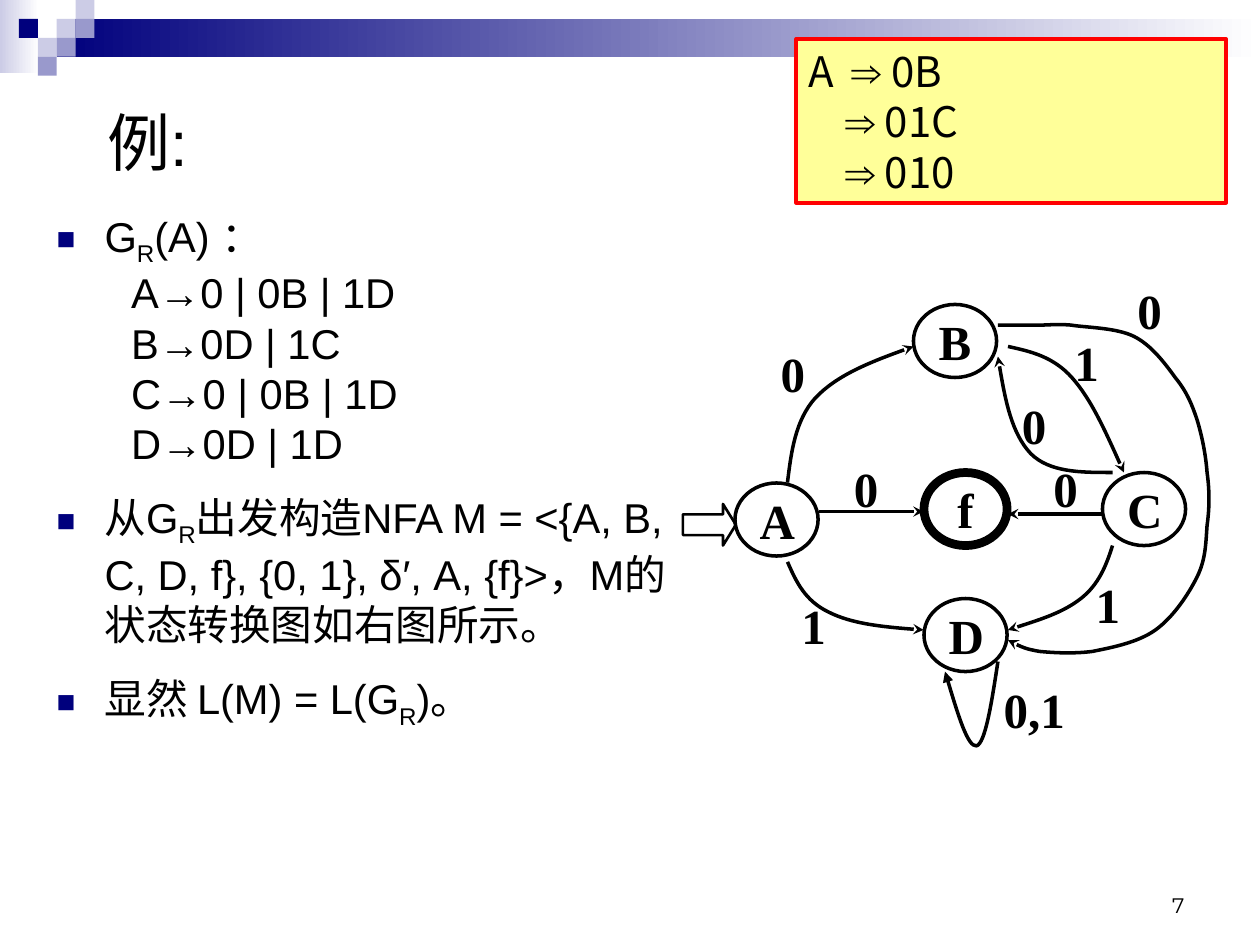
from lxml import etree
from pptx import Presentation
from pptx.dml.color import RGBColor
from pptx.enum.shapes import MSO_CONNECTOR, MSO_SHAPE
from pptx.enum.text import MSO_ANCHOR, MSO_AUTO_SIZE, PP_ALIGN
from pptx.oxml.ns import qn
from pptx.util import Inches, Pt

RECT, OVAL, ARROW = MSO_SHAPE.RECTANGLE, MSO_SHAPE.OVAL, MSO_SHAPE.RIGHT_ARROW
LEFT, CENTER, RIGHT = PP_ALIGN.LEFT, PP_ALIGN.CENTER, PP_ALIGN.RIGHT
TOP, MIDDLE, BOTTOM = MSO_ANCHOR.TOP, MSO_ANCHOR.MIDDLE, MSO_ANCHOR.BOTTOM
BLACK, NAVY, LILAC, VIOLET, WHITE = "000000", "00007D", "CCCCE6", "9999CC", "FFFFFF"
SANS, SERIF, CJK = "Arial", "Times New Roman", "Noto Sans CJK SC"

# Content
TITLE = "例:"
# (level, space before, runs); a run starting with "_" is a subscript
BODY = [
    (0, 0, ["G", "_R", "(A) ："]),
    (1, 0, ["A→0 | 0B | 1D"]),
    (1, 0, ["B→0D | 1C"]),
    (1, 0, ["C→0 | 0B | 1D"]),
    (1, 0, ["D→0D | 1D"]),
    (0, 14, ["从G", "_R", "出发构造NFA M = <{A, B, C, D, f}, {0, 1}, δ′, A, {f}>，"
             "M的状态转换图如右图所示。"]),
    (0, 14, ["显然 L(M) = L(G", "_R", ")。"]),
]
# (text before the arrow, text after it, left indent)
DERIVATION = [("A\t", " 0B", 0.34), ("", " 01C", 0.29), ("", " 010", 0.29)]

# Automaton on a grid of twelfths of an inch: column, row
GRID = 1 / 12
STATES = {"A": (70, 46, 2), "B": (87, 29, 2), "C": (105, 45, 2),
          "D": (88, 57, 2), "f": (88, 45, 5)}  # last: outline width
LABELS = [("1", 98, 31), ("0", 70, 32), ("0,1", 93, 64), ("1", 72, 56), ("1", 100, 54),
          ("0", 93, 37), ("0", 104, 26), ("0", 77, 43), ("0", 96, 43)]
STRAIGHT = [((6.5, 4.06), (7.33, 4.06)), ((8.75, 4.08), (8, 4.08))]
# Bezier curves in inches: start, then two control points and an end per segment
CURVES = {
    "D-D": [(7.92, 5.25), (7.87, 5.58), (7.82, 5.9), (7.75, 5.92),
            (7.68, 5.93), (7.59, 5.63), (7.5, 5.33)],
    "A-B": [(6.25, 3.83), (6.28, 3.59), (6.31, 3.34), (6.47, 3.16),
            (6.64, 2.98), (6.94, 2.86), (7.25, 2.75)],
    "A-D": [(6.25, 4.46), (6.32, 4.62), (6.39, 4.77), (6.58, 4.86),
            (6.76, 4.95), (7.04, 4.98), (7.33, 5)],
    "C-B": [(8.83, 3.75), (8.58, 3.75), (8.33, 3.75), (8.18, 3.6),
            (8.03, 3.44), (7.97, 3.14), (7.92, 2.83)],
    "B-C": [(8, 2.75), (8.18, 2.79), (8.36, 2.83), (8.51, 3),
            (8.66, 3.17), (8.79, 3.46), (8.92, 3.75)],
    "C-D": [(8.83, 4.33), (8.78, 4.49), (8.72, 4.64), (8.58, 4.75),
            (8.44, 4.86), (8.22, 4.93), (8, 5)],
    "B-D": [(7.92, 2.58), (8.03, 2.58), (8.15, 2.58), (8.25, 2.58),
            (8.35, 2.58), (8.37, 2.57), (8.5, 2.58), (8.62, 2.6), (8.86, 2.6), (9, 2.67),
            (9.14, 2.74), (9.25, 2.89), (9.33, 3), (9.42, 3.11), (9.46, 3.21), (9.5, 3.33),
            (9.54, 3.46), (9.57, 3.61), (9.58, 3.75), (9.6, 3.89), (9.6, 4.03), (9.58, 4.17),
            (9.57, 4.31), (9.57, 4.44), (9.5, 4.58), (9.43, 4.72), (9.31, 4.9), (9.17, 5),
            (9.03, 5.1), (8.82, 5.14), (8.67, 5.17), (8.51, 5.19), (8.36, 5.18), (8.25, 5.17),
            (8.14, 5.15), (8.07, 5.12), (8, 5.08)],
}

# Corner ornament: squares on their own grid
SQUARE = 0.15
SQUARES = [(3, 1, LILAC), (4, 0, LILAC), (4, 1, VIOLET), (2, 2, LILAC),
           (1, 1, NAVY), (3, 2, VIOLET), (2, 3, VIOLET)]
BANDS = [((0, 0, 0.31, 0.58), LILAC), ((0.45, 0.15, 9.55, 0.3), NAVY)]

prs = Presentation()
prs.slide_width, prs.slide_height = Inches(10), Inches(7.5)
s = prs.slides.add_slide(prs.slide_layouts[1])


def rgb(value):
    return RGBColor.from_string(value)


def place(sp, *box):
    sp.left, sp.top, sp.width, sp.height = map(Inches, box)


def style(run, size, font, bold=False):
    run.font.size, run.font.name, run.font.bold = Pt(size), font, bold
    run.font.color.rgb = rgb(BLACK)


def write(sp, text, size, font, align=LEFT, anchor=MIDDLE, bold=False):
    tf = sp.text_frame
    tf.text, tf.word_wrap, tf.vertical_anchor = text, True, anchor
    tf.paragraphs[0].alignment = align
    style(tf.paragraphs[0].runs[0], size, font, bold)


def outline(sp, width, color=BLACK):
    sp.line.color.rgb, sp.line.width = rgb(color), Pt(width)


def shape(kind, box, fill=None):
    sp = s.shapes.add_shape(kind, *map(Inches, box))
    sp.shadow.inherit = False
    sp.line.fill.background()
    if fill:
        sp.fill.solid()
        sp.fill.fore_color.rgb = rgb(fill)
    else:
        sp.fill.background()
    return sp


def textbox(box, *args, **kwargs):
    write(s.shapes.add_textbox(*map(Inches, box)), *args, **kwargs)


def arrowhead(sp, kind):
    etree.SubElement(sp._element.find(".//" + qn("a:ln")), qn("a:tailEnd"), type=kind)


def indent(p, left, first):
    pPr = p._p.get_or_add_pPr()
    pPr.set("marL", str(Inches(left)))
    pPr.set("indent", str(Inches(first)))
    return pPr


def curve(points, head):
    start, *rest = [(Inches(x), Inches(y)) for x, y in points]
    builder = s.shapes.build_freeform(*start)
    builder.add_line_segments(rest, close=False)
    sp = builder.convert_to_shape()
    sp.shadow.inherit = False
    sp.fill.background()
    outline(sp, 2)
    arrowhead(sp, head)
    # Turn every three points into one Bezier segment
    geometry = sp._element.find(".//" + qn("a:path"))
    lines = geometry.findall(qn("a:lnTo"))
    for i in range(0, len(lines), 3):
        bezier = etree.SubElement(geometry, qn("a:cubicBezTo"))
        for line in lines[i:i + 3]:
            bezier.append(line[0])
            geometry.remove(line)


# Ornament
for box, color in BANDS:
    fill = shape(RECT, box, color).fill
    fill.gradient()
    fill.gradient_angle = 0
    for stop, value in zip(fill.gradient_stops, (color, WHITE)):
        stop.color.rgb = rgb(value)
for col, row, color in SQUARES:
    shape(RECT, (col * SQUARE, row * SQUARE, SQUARE, SQUARE), color)

# Title, body and slide number
title, body = s.placeholders
place(title, 0.75, 0.5, 9, 1.25)
write(title, TITLE, 36, SANS)
place(body, 0.35, 1.62, 5.17, 4.75)
tf = body.text_frame
tf.auto_size = MSO_AUTO_SIZE.NONE
for i, (level, before, runs) in enumerate(BODY):
    p = tf.add_paragraph() if i else tf.paragraphs[0]
    p.level, p.space_before = level, Pt(before)
    pPr = indent(p, *((0.9, -0.31) if level else (0.38, -0.38)))
    if level:
        etree.SubElement(pPr, qn("a:buNone"))
    else:
        etree.SubElement(etree.SubElement(pPr, qn("a:buClr")), qn("a:srgbClr"), val=NAVY)
        etree.SubElement(pPr, qn("a:buSzPct"), val="75000")
        etree.SubElement(pPr, qn("a:buFont"), typeface=SANS)
        etree.SubElement(pPr, qn("a:buChar"), char="■")
    for text in runs:
        r = p.add_run()
        r.text = text.lstrip("_")
        style(r, 23.8, SANS)
        if text.startswith("_"):
            r.font._element.set("baseline", "-25000")
textbox((7.17, 6.83, 2.33, 0.5), "7", 12, "Montserrat", RIGHT, BOTTOM)

# States, edges and labels
for name, (col, row, width) in STATES.items():
    sp = shape(OVAL, (col * GRID, row * GRID, 0.66, 0.58))
    outline(sp, width)
    write(sp, name, 28, SERIF, CENTER, bold=True)
for name, points in CURVES.items():
    curve(points, "triangle" if name == "D-D" else "stealth")
for start, end in STRAIGHT:
    line = s.shapes.add_connector(MSO_CONNECTOR.STRAIGHT, *map(Inches, start + end))
    outline(line, 2)
    arrowhead(line, "stealth")
    etree.SubElement(line._element.spPr, qn("a:effectLst"))
for text, col, row in LABELS:
    textbox((col * GRID, row * GRID, 11 * GRID, 7 * GRID), text, 28, SERIF, CENTER, bold=True)
entry = shape(ARROW, (5.42, 4, 0.42, 0.33))
entry.adjustments[1] = 0.31
outline(entry, 1.5)

# Derivation box
sp = shape(RECT, (6.32, 0.31, 3.41, 1.3), "FFFF99")
outline(sp, 2.25, "FF0000")
tf = sp.text_frame
tf.vertical_anchor = TOP
for i, (before, after, left) in enumerate(DERIVATION):
    p = tf.add_paragraph() if i else tf.paragraphs[0]
    p.alignment = LEFT
    indent(p, left, -left if before else 0)
    for text, font in ((before, CJK), ("⇒", SANS), (after, CJK)):
        if text:
            r = p.add_run()
            r.text = text
            style(r, 24, font)

prs.save("out.pptx")
